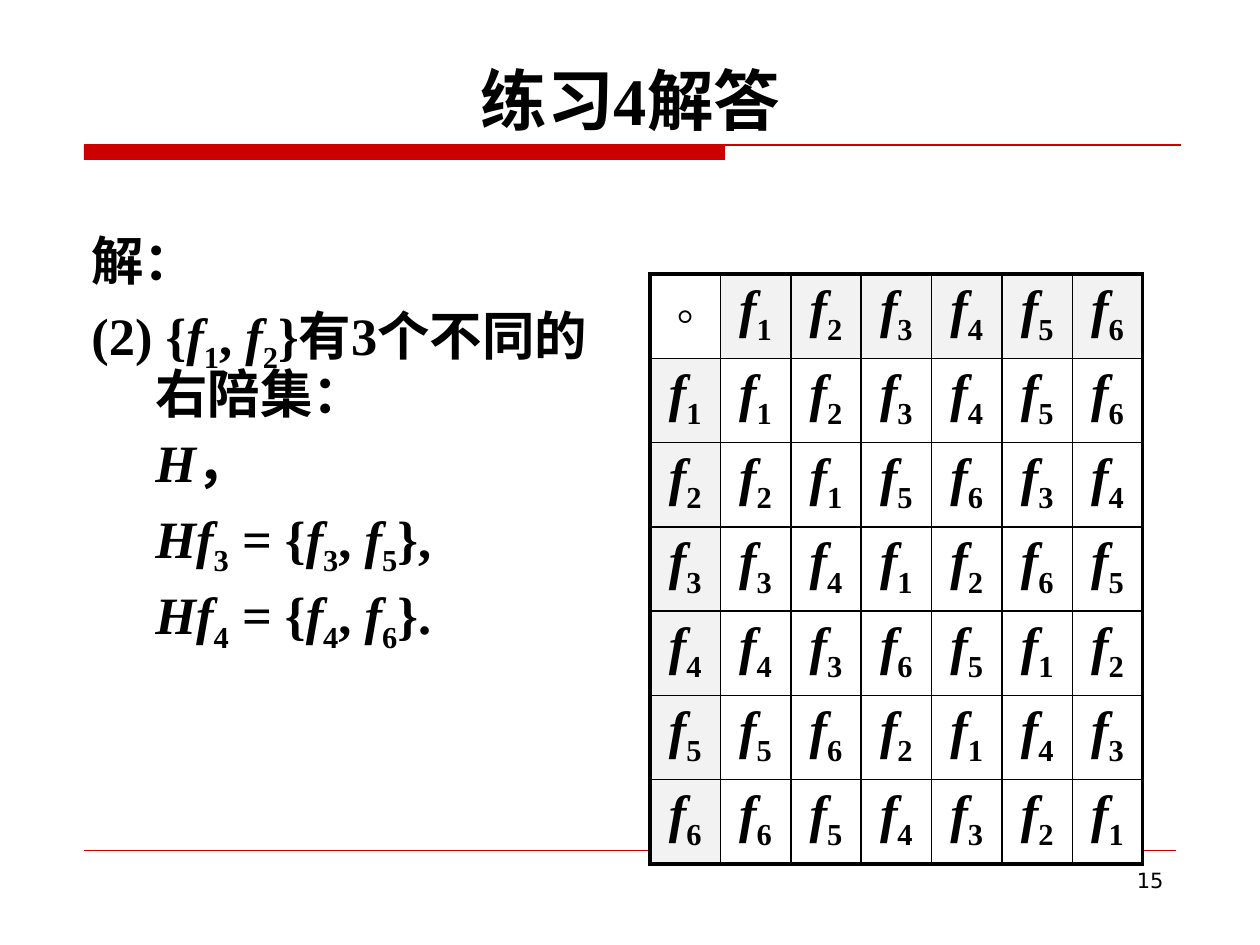
import itertools

import lxml.etree
import pptx
import pptx.dml.color
import pptx.enum.shapes
import pptx.enum.text
import pptx.oxml.ns
import pptx.util

PX = pptx.util.Inches(1) / 126
BLACK = pptx.dml.color.RGBColor(0x00, 0x00, 0x00)
WHITE = pptx.dml.color.RGBColor(0xFF, 0xFF, 0xFF)
RED = pptx.dml.color.RGBColor(0xCC, 0x00, 0x00)
HEADER_GRAY = pptx.dml.color.RGBColor(0xF2, 0xF2, 0xF2)

ALIGN = pptx.enum.text.PP_ALIGN
ANCHOR = pptx.enum.text.MSO_ANCHOR
SERIF = "Times New Roman"
TITLE_FONT = {"name": SERIF, "size": pptx.util.Pt(38), "bold": True}
MATH_FONT = {"name": SERIF, "size": pptx.util.Pt(30), "bold": True}
NUMBER_FONT = {"name": "DejaVu Sans", "size": pptx.util.Pt(12), "bold": False}

HANGING = 64
SOLUTION = [
    ("解：", -HANGING),
    ("(2) {f1, f2}有3个不同的右陪集：", -HANGING),
    ("H，", 0),
    ("Hf3 = {f3, f5},", 0),
    ("Hf4 = {f4, f6}.", 0),
]
PRODUCTS = ["123456", "215634", "341265", "436512", "562143", "654321"]


def emu(px):
    return pptx.util.Emu(round(px * PX))


def apply_format(target, values):
    for name, value in values.items():
        setattr(target, name, value)


def char_style(previous, char):
    if char in "fH":
        return "italic"
    return "subscript" if previous == "f" else "plain"


def write_math(paragraph, text, font):
    styled = [(char_style(before, char), char)
              for before, char in zip(" " + text, text)]
    for style, group in itertools.groupby(styled, key=lambda pair: pair[0]):
        run = paragraph.add_run()
        run.text = "".join(char for _, char in group)
        apply_format(run.font, font)
        run.font.color.rgb = BLACK
        run.font.italic = style == "italic"
        if style == "subscript":
            run.font._element.set("baseline", "-25000")


def add_text_frame(slide, left, top, width, height, anchor):
    box = slide.shapes.add_textbox(*map(emu, (left, top, width, height)))
    apply_format(box.text_frame, {"word_wrap": True, "vertical_anchor": anchor})
    return box.text_frame


def add_label(slide, text, bounds, anchor, align, font):
    paragraph = add_text_frame(slide, *bounds, anchor).paragraphs[0]
    paragraph.alignment = align
    write_math(paragraph, text, font)


def add_rule(slide, left, right, y, weight):
    rule = slide.shapes.add_connector(
        pptx.enum.shapes.MSO_CONNECTOR.STRAIGHT,
        *map(emu, (left, y, right, y)))
    rule.line.color.rgb = RED
    rule.line.width = pptx.util.Pt(weight)
    lxml.etree.SubElement(rule._element.spPr, pptx.oxml.ns.qn("a:effectLst"))


def add_title_bar(slide):
    bar = slide.shapes.add_shape(
        pptx.enum.shapes.MSO_SHAPE.RECTANGLE, *map(emu, (84, 145, 641, 15)))
    bar.shadow.inherit = False
    bar.fill.solid()
    bar.fill.fore_color.rgb = RED
    bar.line.fill.background()


def add_solution(slide):
    frame = add_text_frame(slide, 79, 229, 530, 664, ANCHOR.TOP)
    for index, (text, indent) in enumerate(SOLUTION):
        paragraph = frame.add_paragraph() if index else frame.paragraphs[0]
        properties = paragraph._p.get_or_add_pPr()
        properties.set("marL", str(emu(HANGING)))
        properties.set("indent", str(emu(indent)))
        paragraph.line_spacing = 0.9
        if index:
            paragraph.space_before = pptx.util.Pt(7)
        write_math(paragraph, text, MATH_FONT)


def add_border(cell, side, weight):
    properties = cell._tc.get_or_add_tcPr()
    border = lxml.etree.SubElement(
        properties, pptx.oxml.ns.qn(f"a:ln{side}"), w=str(pptx.util.Pt(weight)))
    fill = lxml.etree.SubElement(border, pptx.oxml.ns.qn("a:solidFill"))
    lxml.etree.SubElement(fill, pptx.oxml.ns.qn("a:srgbClr"), val=str(BLACK))


def add_composition_table(slide):
    header = ["◦"] + [f"f{n}" for n in range(1, 7)]
    rows = [header] + [[name] + [f"f{n}" for n in products]
                       for name, products in zip(header[1:], PRODUCTS)]
    last = len(header) - 1
    table = slide.shapes.add_table(
        len(rows), len(header), *map(emu, (650, 274, 493, 554))).table
    for column in table.columns:
        column.width = emu(493 / len(header))
    for row in table.rows:
        row.height = emu(554 / len(rows))
    for r, c in itertools.product(range(len(rows)), range(len(header))):
        cell = table.cell(r, c)
        outer_sides = {"L": c == 0, "R": c == last, "T": r == 0, "B": r == last}
        for side, outer in outer_sides.items():
            add_border(cell, side, 2.25 if outer else 1)
        cell.fill.solid()
        cell.fill.fore_color.rgb = HEADER_GRAY if (r == 0) != (c == 0) else WHITE
        cell.vertical_anchor = ANCHOR.TOP if r or c else ANCHOR.MIDDLE
        paragraph = cell.text_frame.paragraphs[0]
        paragraph.alignment = ALIGN.CENTER
        write_math(paragraph, rows[r][c], MATH_FONT)


def main():
    presentation = pptx.Presentation()
    apply_format(presentation, {"slide_width": emu(1260), "slide_height": emu(945)})
    slide = presentation.slides.add_slide(presentation.slide_layouts[6])
    add_title_bar(slide)
    add_rule(slide, 84, 1181, 145, 0.75)
    add_rule(slide, 84, 1176, 850, 0.25)
    add_label(slide, "15", (903, 861, 273, 66), ANCHOR.TOP, ALIGN.RIGHT, NUMBER_FONT)
    add_label(slide, "练习4解答", (79, 42, 1103, 103), ANCHOR.BOTTOM, ALIGN.CENTER,
              TITLE_FONT)
    add_solution(slide)
    add_composition_table(slide)
    presentation.save("out.pptx")


if __name__ == "__main__":
    main()
